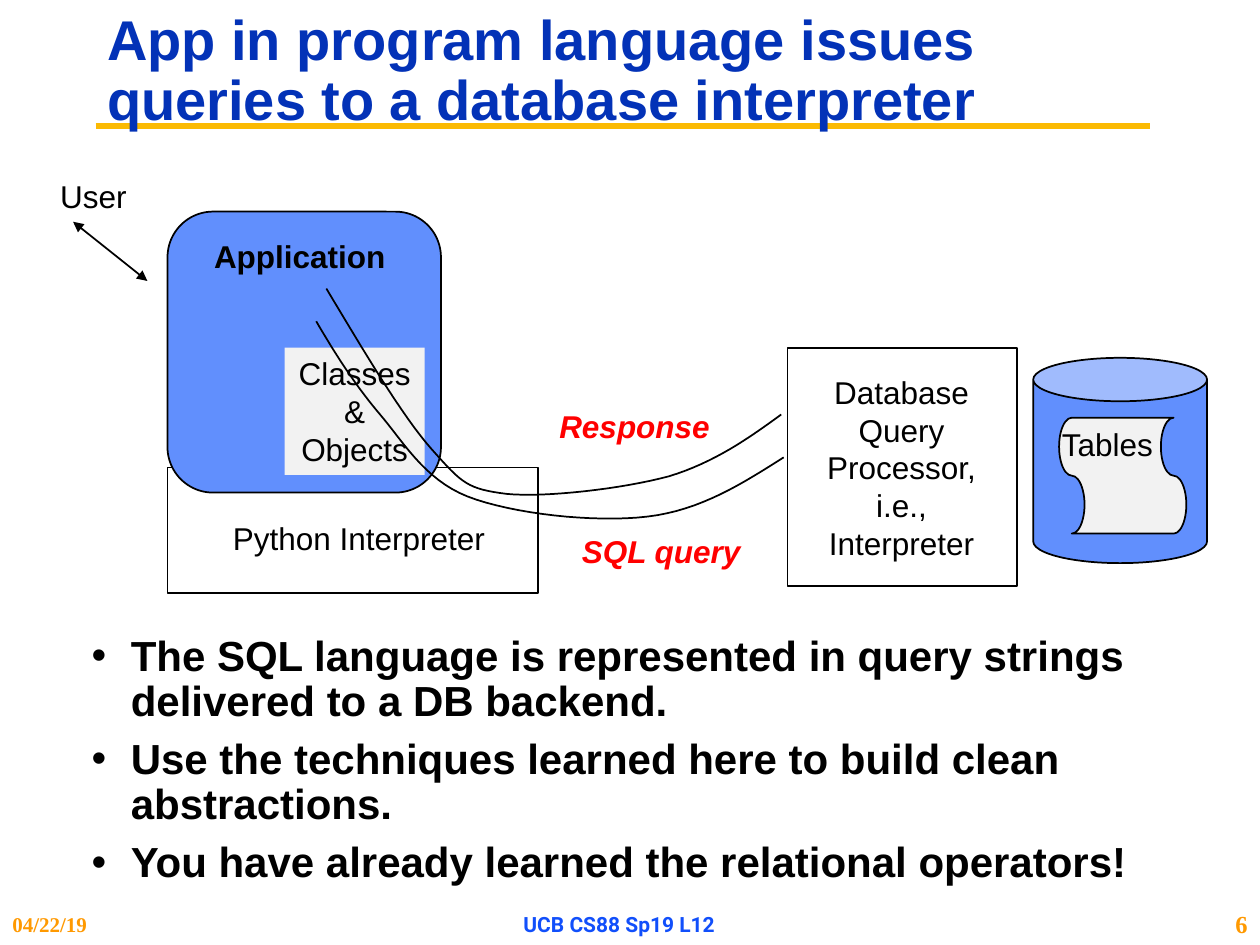
from lxml.etree import SubElement
from pptx import Presentation
from pptx.dml.color import RGBColor
from pptx.enum.shapes import MSO_CONNECTOR, MSO_SHAPE
from pptx.enum.text import MSO_ANCHOR, MSO_AUTO_SIZE, PP_ALIGN
from pptx.oxml.ns import qn
from pptx.util import Inches, Pt

BLACK = RGBColor(0x00, 0x00, 0x00)
NAVY = RGBColor(0x03, 0x32, 0xB7)
BLUE = RGBColor(0x61, 0x8F, 0xFD)
FOOTER_BLUE = RGBColor(0x11, 0x4F, 0xFB)
GOLD = RGBColor(0xFB, 0xBA, 0x03)
ORANGE = RGBColor(0xFF, 0x99, 0x00)
RED = RGBColor(0xFF, 0x00, 0x00)
GRAY = RGBColor(0xF2, 0xF2, 0xF2)
SERIF = "Times New Roman"


def add_bullet(p, indent=0.31):
    pPr = p._p.get_or_add_pPr()
    pPr.set("marL", str(Inches(indent)))
    pPr.set("indent", str(-Inches(indent)))
    SubElement(pPr, qn("a:buFont")).set("typeface", "Arial")
    SubElement(pPr, qn("a:buChar")).set("char", "•")


def write(tf, *lines, size=18, font="Arial", color=BLACK, bold=False,
          italic=False, align=PP_ALIGN.LEFT, anchor=MSO_ANCHOR.TOP,
          spacing=None, before=0, bullet=False):
    """Fill a text frame, one paragraph per line."""
    tf.word_wrap = True
    tf.auto_size = MSO_AUTO_SIZE.NONE
    tf.vertical_anchor = anchor
    for i, line in enumerate(lines):
        p = tf.add_paragraph() if i else tf.paragraphs[0]
        p.alignment = align
        p.line_spacing = spacing
        p.space_before = Pt(before if i else 0)
        if bullet:
            add_bullet(p)
        r = p.add_run()
        r.text = line
        r.font.size, r.font.name = Pt(size), font
        r.font.bold, r.font.italic = bold, italic
        r.font.color.rgb = color


def bezier(p0, p1, p2, p3, steps=16):
    """Points along a cubic curve, without its start."""
    for i in range(1, steps + 1):
        t = i / steps
        u = 1 - t
        yield tuple(u**3 * a + 3 * u * u * t * b + 3 * u * t * t * c + t**3 * d
                    for a, b, c, d in zip(p0, p1, p2, p3))


class Builder:
    def __init__(self, slide, line_color=BLACK, line_width=1):
        self.s = slide
        self.line_color = line_color
        self.line_width = line_width

    def title(self, text, *box, **style):
        sp = self.s.shapes.title
        sp.left, sp.top, sp.width, sp.height = map(Inches, box)
        write(sp.text_frame, text, **style)
        # Bring the title in front of the rule
        self.s.shapes._spTree.append(sp._element)

    def text(self, *lines, at, **style):
        sp = self.s.shapes.add_textbox(*map(Inches, at))
        write(sp.text_frame, *lines, **style)

    def outline(self, sp, fill=None, lined=True):
        sp.shadow.inherit = False
        if fill is None:
            sp.fill.background()
        else:
            sp.fill.solid()
            sp.fill.fore_color.rgb = fill
        if lined:
            sp.line.color.rgb = self.line_color
            sp.line.width = Pt(self.line_width)
        else:
            sp.line.fill.background()

    def shape(self, kind, *box, fill=None, lined=True, rotation=0):
        sp = self.s.shapes.add_shape(kind, *map(Inches, box))
        sp.rotation = rotation
        self.outline(sp, fill, lined)
        return sp

    def line(self, x1, y1, x2, y2, color=None, width=None, arrows=False):
        c = self.s.shapes.add_connector(
            MSO_CONNECTOR.STRAIGHT, *map(Inches, (x1, y1, x2, y2)))
        c.line.color.rgb = color or self.line_color
        c.line.width = Pt(width or self.line_width)
        if arrows:
            ln = c.line._get_or_add_ln()
            for end in ("a:headEnd", "a:tailEnd"):
                SubElement(ln, qn(end)).set("type", "triangle")
        SubElement(c._element.spPr, qn("a:effectLst"))

    def curve(self, *points):
        """Chain of cubic curves: a start, then two controls and an end each."""
        # The builder rounds to whole units, so work in EMU
        points = [(Inches(x), Inches(y)) for x, y in points]
        fb = self.s.shapes.build_freeform(*points[0])
        for i in range(0, len(points) - 1, 3):
            fb.add_line_segments(bezier(*points[i:i + 4]), close=False)
        self.outline(fb.convert_to_shape())


def main():
    prs = Presentation()
    prs.slide_width, prs.slide_height = Inches(10), Inches(7.5)
    b = Builder(prs.slides.add_slide(prs.slide_layouts[5]))

    # Title and rule
    b.line(0.76, 1, 9.13, 1, color=GOLD, width=3.75)
    b.title("App in program language issues queries to a database interpreter",
            0.75, 0.17, 8.42, 0.81, size=32, color=NAVY, bold=True,
            anchor=MSO_ANCHOR.MIDDLE, spacing=0.9)

    # Application on top of the interpreter
    b.shape(MSO_SHAPE.RECTANGLE, 1.33, 3.71, 2.94, 1)
    b.shape(MSO_SHAPE.ROUNDED_RECTANGLE, 1.33, 1.68, 2.17, 2.23, fill=BLUE)
    b.text("Python Interpreter", at=(1.75, 4.07, 2.22, 0.4))
    b.text("Application", at=(1.6, 1.83, 1.58, 0.4), bold=True)
    classes = b.shape(MSO_SHAPE.RECTANGLE, 2.26, 2.76, 1.11, 1.01,
                      fill=GRAY, lined=False)
    write(classes.text_frame, "Classes & Objects", align=PP_ALIGN.CENTER)

    # User
    b.text("User", at=(0.38, 1.36, 0.73, 0.4))
    b.line(0.58, 1.76, 1.17, 2.23, arrows=True)

    # Query processor
    b.shape(MSO_SHAPE.RECTANGLE, 6.25, 2.76, 1.82, 1.89)
    b.text("Database Query Processor,", "i.e., Interpreter",
           at=(6.34, 2.91, 1.63, 1.62), align=PP_ALIGN.CENTER)

    # Query and response paths
    b.curve((2.51, 2.55), (2.65, 2.79), (2.8, 3.03), (3, 3.27),
            (3.2, 3.5), (3.36, 3.8), (3.71, 3.94),
            (4.07, 4.08), (4.72, 4.15), (5.14, 4.1),
            (5.56, 4.05), (5.89, 3.84), (6.22, 3.63))
    b.curve((6.2, 3.29), (5.94, 3.48), (5.67, 3.67), (5.31, 3.78),
            (4.94, 3.88), (4.33, 3.95), (4.02, 3.92),
            (3.71, 3.88), (3.67, 3.84), (3.43, 3.57),
            (3.19, 3.3), (2.89, 2.79), (2.59, 2.29))
    for label, box in (("SQL query", (4.52, 4.17, 1.47, 0.4)),
                       ("Response", (4.34, 3.18, 1.41, 0.4))):
        b.text(label, at=box, color=RED, bold=True, italic=True)

    # Database tables
    b.shape(MSO_SHAPE.CAN, 8.2, 2.84, 1.38, 1.63, fill=BLUE)
    b.shape(MSO_SHAPE.FLOWCHART_PUNCHED_TAPE, 8.45, 3.27, 0.92, 1.01,
            fill=GRAY, rotation=90)
    b.text("Tables", at=(8.33, 3.32, 1.25, 0.45))

    # Bullets
    b.text("The SQL language is represented in query strings delivered to a DB backend.",
           "Use the techniques learned here to build clean abstractions.",
           "You have already learned the relational operators!",
           at=(0.63, 4.99, 8.83, 1.42), size=24, bold=True,
           spacing=0.9, before=7.2, bullet=True)

    # Footer
    footer = (
        ("04/22/19", 0, 1.67, 12, SERIF, ORANGE, PP_ALIGN.LEFT),
        ("UCB CS88 Sp19 L12", 3.33, 3.17, 12, "Roboto", FOOTER_BLUE, PP_ALIGN.CENTER),
        ("6", 9.42, 0.58, 14, SERIF, ORANGE, PP_ALIGN.RIGHT),
    )
    for text, left, width, size, font, color, align in footer:
        b.text(text, at=(left, 7.17, width, 0.33), size=size, font=font,
               color=color, bold=True, align=align, anchor=MSO_ANCHOR.MIDDLE)

    prs.save("out.pptx")


if __name__ == "__main__":
    main()
